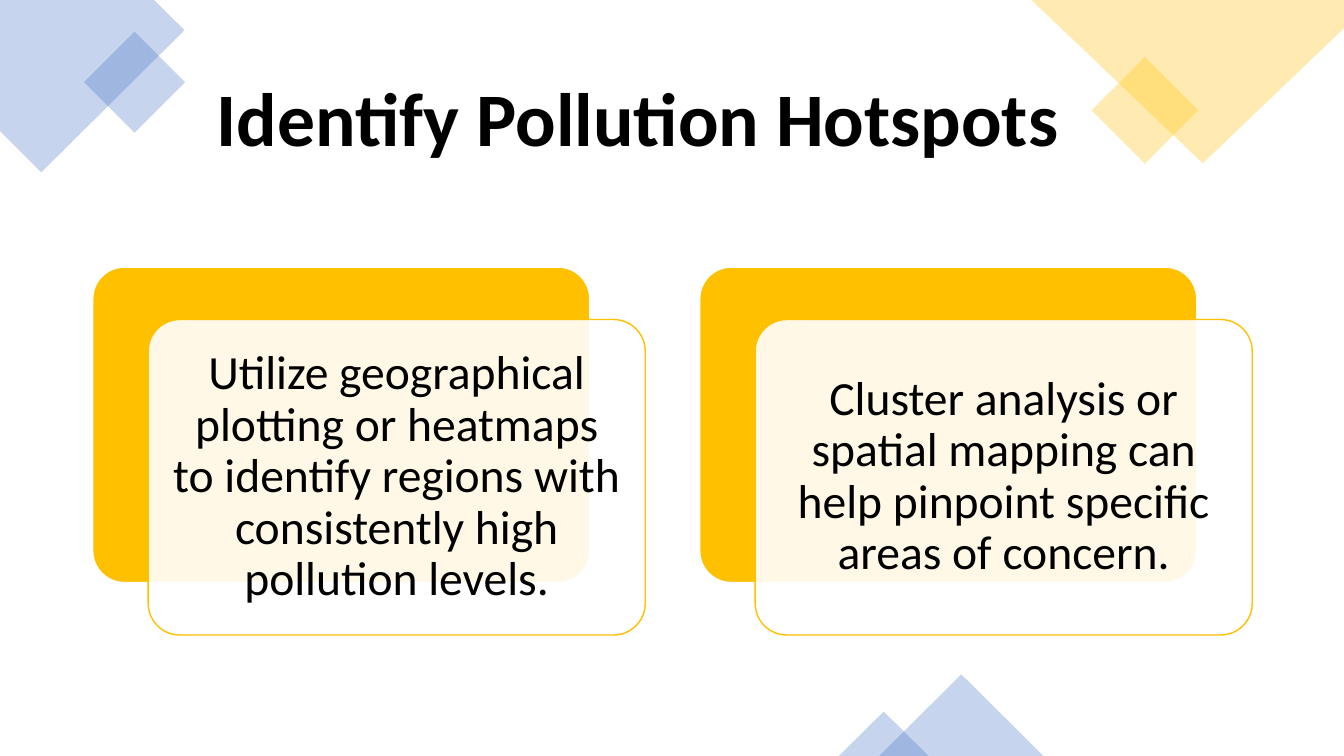
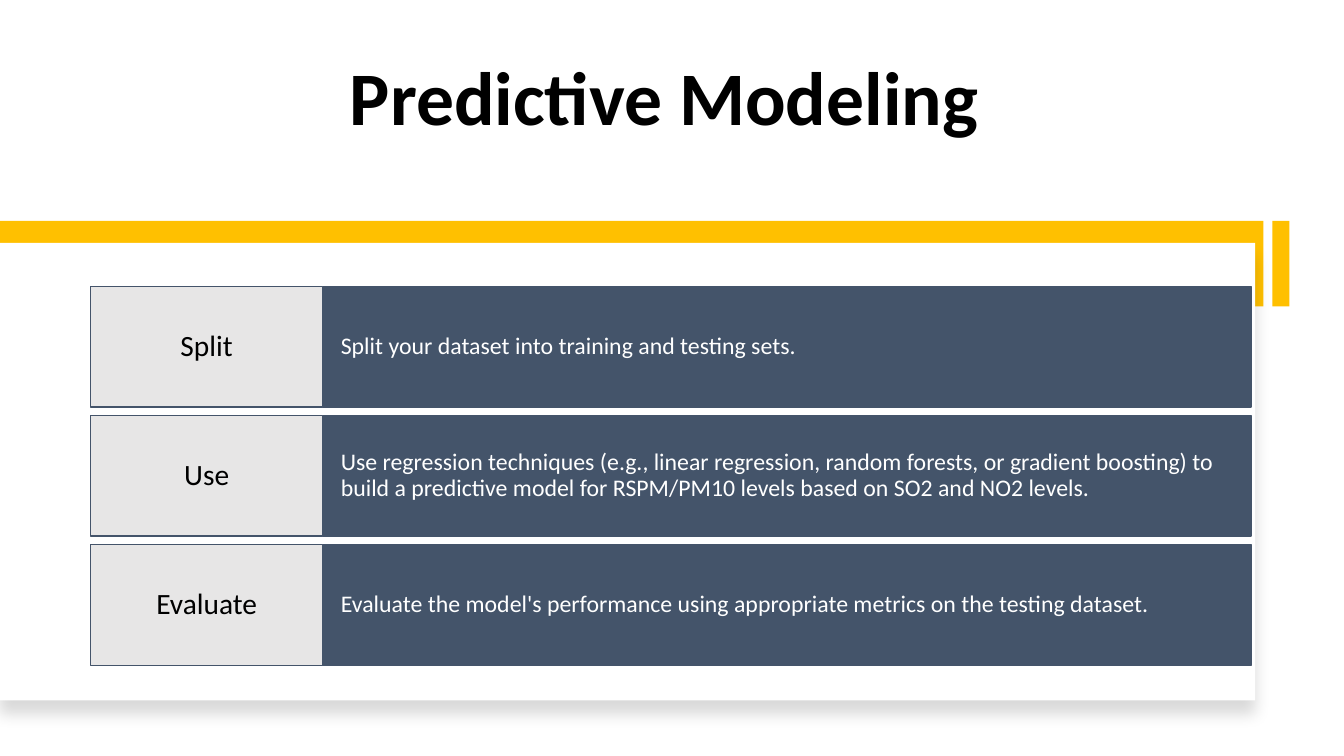
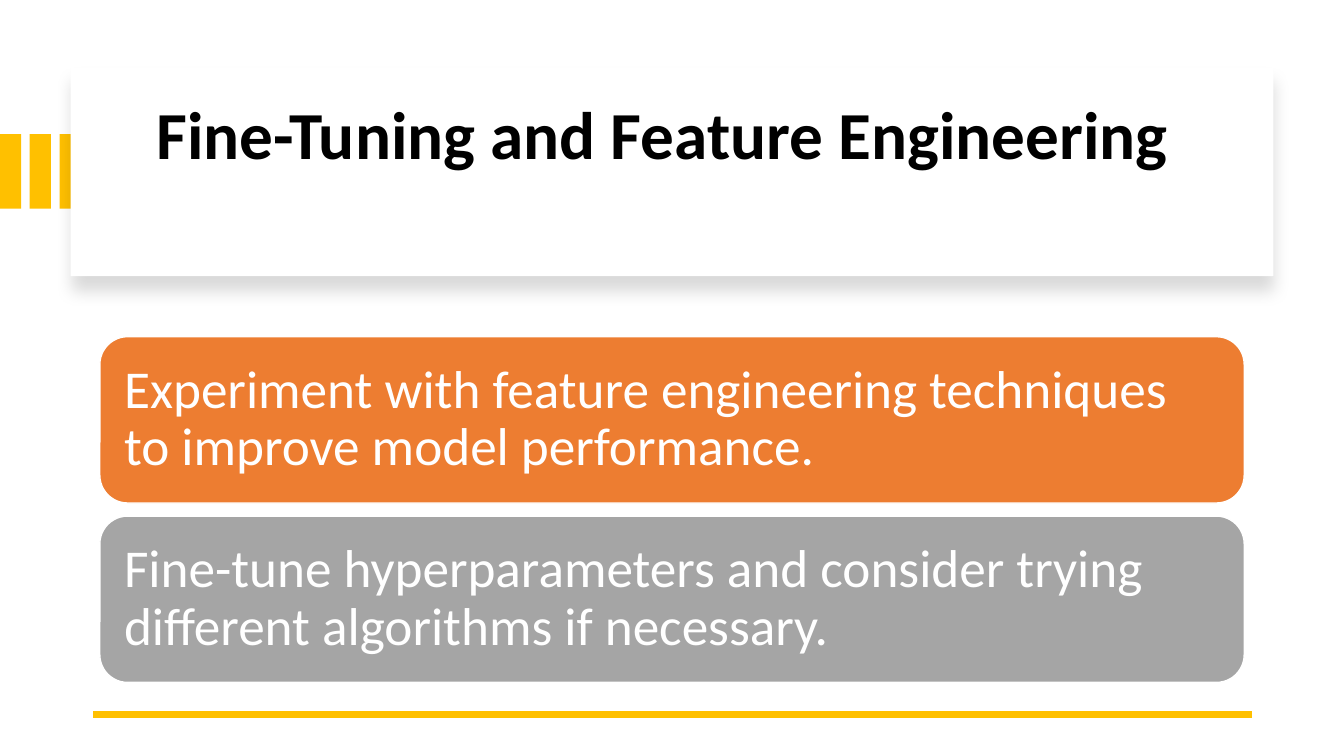
from dataclasses import dataclass
from typing import NamedTuple, Optional

from lxml import etree
from pptx import Presentation
from pptx.dml import color as dml
from pptx.enum import shapes, text
from pptx.oxml import ns
from pptx.util import Inches, Pt


# Theme: colours and type sizes
@dataclass(frozen=True)
class Theme:
    font: str = "Calibri"
    black: str = "000000"
    white: str = "FFFFFF"
    blue: str = "4472C4"
    gold: str = "FFC000"
    slate: str = "44546A"
    mist: str = "E7E6E6"
    orange: str = "ED7D31"
    grey: str = "A5A5A5"
    title_large: int = 54
    title_small: int = 48
    banner: int = 38
    card: int = 34
    step: int = 21
    detail: int = 17
    leading: float = 0.9
    veil: int = 30


THEME = Theme()
KIND = shapes.MSO_SHAPE
ALIGN = text.PP_ALIGN
ANCHOR = text.MSO_ANCHOR


class Box(NamedTuple):
    left: float
    top: float
    width: float
    height: float

    def shifted(self, dx: float = 0, dy: float = 0) -> "Box":
        return self._replace(left=self.left + dx, top=self.top + dy)

    def lengths(self) -> list:
        return [Inches(side) for side in self]


class Accent(NamedTuple):
    kind: int
    box: Box
    colour: str
    rotation: float = 0


class Outline(NamedTuple):
    points: list
    colour: str


class Step(NamedTuple):
    label: str
    detail: str


class Banner(NamedTuple):
    message: str
    colour: str


# Shared drawing functions
def add_effects(properties, shadow: bool = False) -> None:
    """Give a connector or shape an effect list, with a soft shadow on request."""
    for old in properties.findall(ns.qn("a:effectLst")):
        properties.remove(old)
    effects = etree.SubElement(properties, ns.qn("a:effectLst"))
    if shadow:
        outer = etree.SubElement(effects, ns.qn("a:outerShdw"), blurRad=str(Pt(11)),
                                 dist=str(Pt(10)), dir="5400000", algn="t", rotWithShape="0")
        black = etree.SubElement(outer, ns.qn("a:srgbClr"), val=THEME.black)
        etree.SubElement(black, ns.qn("a:alpha"), val="15000")


def paint(shape, fill: str, opacity: int = 100, line: Optional[str] = None) -> None:
    shape.shadow.inherit = False
    shape.fill.solid()
    shape.fill.fore_color.rgb = dml.RGBColor.from_string(fill)
    if opacity < 100:
        tint = shape.element.spPr.find(ns.qn("a:solidFill"))[0]
        etree.SubElement(tint, ns.qn("a:alpha"), val=str(opacity * 1000))
    if line is None:
        shape.line.fill.background()
    else:
        shape.line.color.rgb = dml.RGBColor.from_string(line)
        shape.line.width = Pt(1)


def draw(slide, kind: int, box: Box, fill: str, *, opacity: int = 100,
         line: Optional[str] = None, rotation: float = 0, corner: Optional[float] = None):
    shape = slide.shapes.add_shape(kind, *box.lengths())
    paint(shape, fill, opacity, line)
    shape.rotation = rotation
    if corner is not None:
        shape.adjustments[0] = corner
    return shape


def write(shape, words: str, *, size: int, colour: str, bold: bool = False,
          align=ALIGN.LEFT, anchor=ANCHOR.MIDDLE,
          insets: tuple = (0.1, 0.05, 0.1, 0.05)) -> None:
    frame = shape.text_frame
    frame.word_wrap = True
    frame.auto_size = text.MSO_AUTO_SIZE.NONE
    frame.vertical_anchor = anchor
    (frame.margin_left, frame.margin_top,
     frame.margin_right, frame.margin_bottom) = [Inches(inset) for inset in insets]
    paragraph = frame.paragraphs[0]
    paragraph.alignment = align
    paragraph.line_spacing = THEME.leading
    run = paragraph.add_run()
    run.text = words
    run.font.name = THEME.font
    run.font.size = Pt(size)
    run.font.bold = bold
    run.font.color.rgb = dml.RGBColor.from_string(colour)


def add_title(slide, words: str, box: Box, indent: float, *,
              size: int = THEME.title_large, anchor=ANCHOR.MIDDLE) -> None:
    title = slide.shapes.title
    title.left, title.top, title.width, title.height = box.lengths()
    write(title, words, size=size, colour=THEME.black, bold=True, anchor=anchor,
          insets=(0.1 + indent, 0.05, 0.1, 0.05))
    # Bring the title in front of what is already drawn
    title.element.getparent().append(title.element)


def add_panel(slide, box: Box) -> None:
    panel = draw(slide, KIND.RECTANGLE, box, THEME.white)
    add_effects(panel.element.spPr, shadow=True)


def add_outline(slide, outline: Outline) -> None:
    start, *rest = [(Inches(x), Inches(y)) for x, y in outline.points]
    builder = slide.shapes.build_freeform(*start)
    builder.add_line_segments(rest, close=True)
    paint(builder.convert_to_shape(), outline.colour, THEME.veil)


def add_accent(slide, accent: Accent) -> None:
    draw(slide, accent.kind, accent.box, accent.colour,
         opacity=THEME.veil, rotation=accent.rotation)


# Slide 1: hotspots
def build_hotspots(slide) -> None:
    # Corner decoration
    outlines = [
        Outline([(1.53, 0), (0, 0), (0, 1.3), (0.41, 1.71), (1.83, 0.3)], THEME.blue),
        Outline([(13.33, 0), (10.23, 0), (11.93, 1.62), (13.33, 0.28)], THEME.gold),
    ]
    accents = [
        Accent(KIND.RECTANGLE, Box(0.98, 0.46, 0.71, 0.71), THEME.blue, 315),
        Accent(KIND.RECTANGLE, Box(10.98, 0.72, 0.75, 0.75), THEME.gold, 315),
        Accent(KIND.ISOSCELES_TRIANGLE, Box(8.72, 6.69, 1.63, 0.81), THEME.blue),
        Accent(KIND.ISOSCELES_TRIANGLE, Box(8.32, 7.06, 0.89, 0.44), THEME.blue),
    ]
    for outline in outlines:
        add_outline(slide, outline)
    for accent in accents:
        add_accent(slide, accent)
    add_title(slide, "Identify Pollution Hotspots", Box(0.92, 0.56, 11.5, 1.31), 1.13)

    # Pairs of a gold back and a pale card
    methods = [
        "Utilize geographical plotting or heatmaps to identify regions with "
        "consistently high pollution levels.",
        "Cluster analysis or spatial mapping can help pinpoint specific areas of concern.",
    ]
    first_back = Box(0.92, 2.65, 4.93, 3.13)
    for column, method in enumerate(methods):
        back = first_back.shifted(dx=column * 6.02)
        draw(slide, KIND.ROUNDED_RECTANGLE, back, THEME.gold, line=THEME.white, corner=0.1)
        card = draw(slide, KIND.ROUNDED_RECTANGLE, back.shifted(0.55, 0.52), THEME.white,
                    opacity=90, line=THEME.gold, corner=0.1)
        write(card, method, size=THEME.card, colour=THEME.black,
              align=ALIGN.CENTER, insets=(0.14,) * 4)


# Slide 2: modeling steps
def build_modeling(slide) -> None:
    add_title(slide, "Predictive Modeling", Box(0.9, 0.42, 10.09, 1.04), 2.47,
              anchor=ANCHOR.BOTTOM)
    for band in (Box(12.62, 2.19, 0.17, 0.85), Box(0, 2.19, 12.53, 0.85)):
        draw(slide, KIND.RECTANGLE, band, THEME.gold)
    add_panel(slide, Box(0, 2.41, 12.45, 4.54))

    # Rows of a label and its detail
    steps = [
        Step("Split", "Split your dataset into training and testing sets."),
        Step("Use", "Use regression techniques (e.g., linear regression, random forests, "
                    "or gradient boosting) to build a predictive model for RSPM/PM10 levels "
                    "based on SO2 and NO2 levels."),
        Step("Evaluate", "Evaluate the model's performance using appropriate metrics "
                         "on the testing dataset."),
    ]
    for row, step in enumerate(steps):
        label_box = Box(0.9, 2.84 + row * 1.28, 2.3, 1.2)
        detail_box = label_box.shifted(dx=label_box.width)._replace(width=9.21)
        detail = draw(slide, KIND.RECTANGLE, detail_box, THEME.slate, line=THEME.slate)
        write(detail, step.detail, size=THEME.detail, colour=THEME.white,
              insets=(0.18, 0.31, 0.18, 0.31))
        label = draw(slide, KIND.RECTANGLE, label_box, THEME.mist, line=THEME.slate)
        write(label, step.label, size=THEME.step, colour=THEME.black,
              align=ALIGN.CENTER, insets=(0.12,) * 4)


# Slide 3: fine-tuning
def build_tuning(slide) -> None:
    for position in range(3):
        draw(slide, KIND.RECTANGLE, Box(position * 0.295, 1.33, 0.21, 0.74), THEME.gold)
    add_panel(slide, Box(0.7, 0.67, 11.93, 2.07))
    add_title(slide, "Fine-Tuning and Feature Engineering", Box(1.04, 0.35, 11.48, 2.03),
              0.41, size=THEME.title_small)

    # Rule at the foot
    rule = slide.shapes.add_connector(shapes.MSO_CONNECTOR.STRAIGHT, Inches(12.42),
                                      Inches(7.09), Inches(0.92), Inches(7.09))
    rule.line.color.rgb = dml.RGBColor.from_string(THEME.gold)
    rule.line.width = Pt(4.5)
    add_effects(rule.element.spPr)

    # Stacked banners
    banners = [
        Banner("Experiment with feature engineering techniques to improve model performance.",
               THEME.orange),
        Banner("Fine-tune hyperparameters and consider trying different algorithms "
               "if necessary.", THEME.grey),
    ]
    for row, banner in enumerate(banners):
        bar = draw(slide, KIND.ROUNDED_RECTANGLE, Box(0.99, 3.34 + row * 1.78, 11.35, 1.65),
                   banner.colour, line=THEME.white)
        write(bar, banner.message, size=THEME.banner, colour=THEME.white, insets=(0.16,) * 4)


# Assemble the deck
def main() -> None:
    deck = Presentation()
    deck.slide_width, deck.slide_height = Inches(13.33), Inches(7.5)
    title_only = deck.slide_layouts[5]
    for build in (build_hotspots, build_modeling, build_tuning):
        build(deck.slides.add_slide(title_only))
    deck.save("out.pptx")


main()
